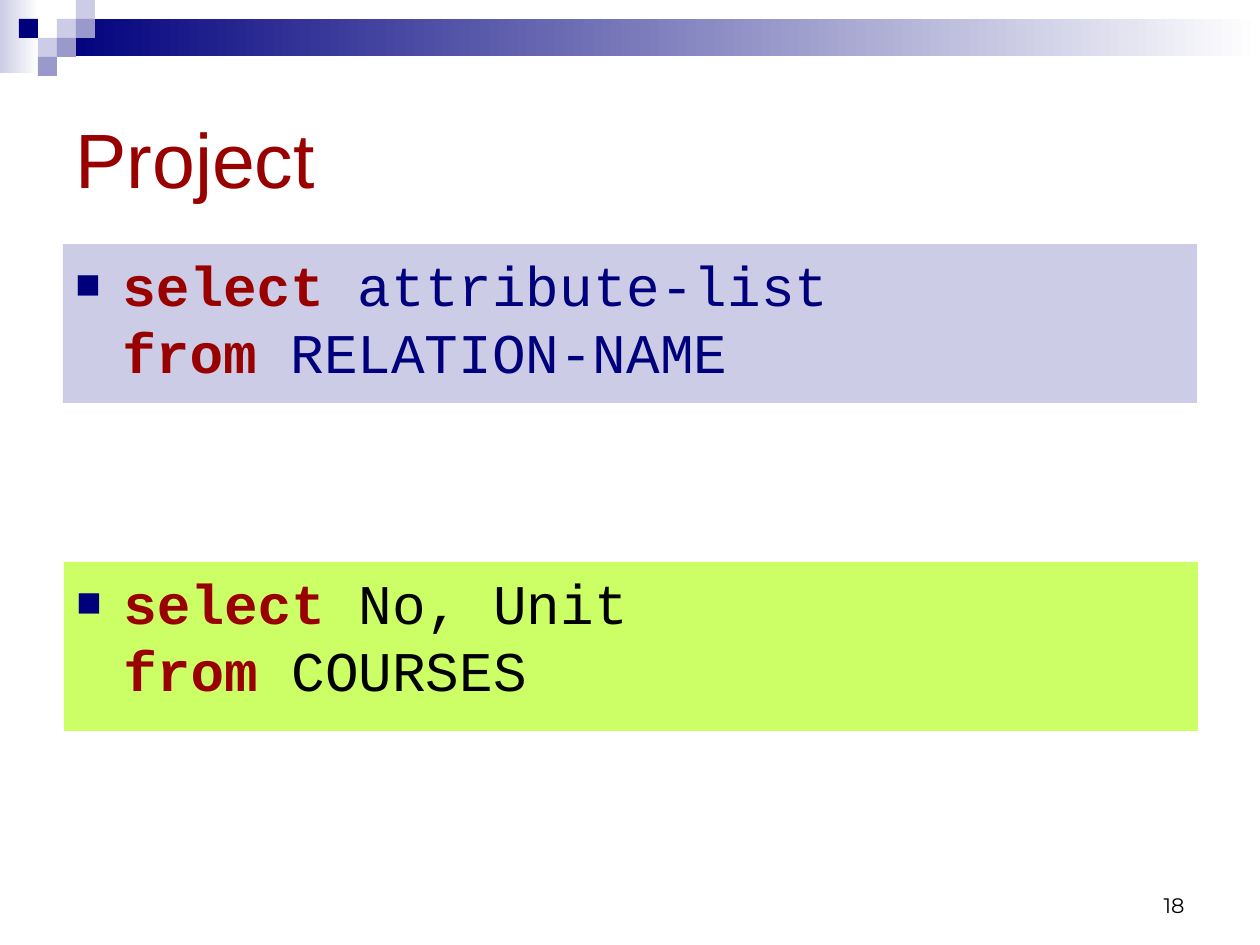
import pptx
import pptx.util
import pptx.dml.color
import pptx.enum.shapes
import pptx.enum.text
import lxml.etree
from dataclasses import dataclass


@dataclass(frozen=True)
class Theme:
    navy: str = "00007D"
    mid: str = "9999CC"
    pale: str = "CCCCE6"
    lime: str = "CCFF66"
    red: str = "990000"
    black: str = "000000"
    white: str = "FFFFFF"
    head: int = 44
    code: int = 32
    foot: int = 12


theme = Theme()
rgb = pptx.dml.color.RGBColor.from_string
anchor = pptx.enum.text.MSO_ANCHOR
align = pptx.enum.text.PP_ALIGN
scale = pptx.util.Inches(1) / 126


def rect(box, *fills):
    """Add a borderless rectangle: one colour is solid, two make a gradient."""
    shape = slide.shapes.add_shape(
        pptx.enum.shapes.MSO_SHAPE.RECTANGLE, *(round(n * scale) for n in box))
    shape.shadow.inherit = False
    shape.line.fill.background()
    if len(fills) == 1:
        shape.fill.solid()
        shape.fill.fore_color.rgb = rgb(fills[0])
    else:
        shape.fill.gradient()
        shape.fill.gradient_angle = 0
        for stop, color in zip(shape.fill.gradient_stops, fills):
            stop.color.rgb = rgb(color)
    return shape


def style(font, name, size, color, bold=False):
    font.name = name
    font.size = pptx.util.Pt(size)
    font.color.rgb = rgb(color)
    font.bold = bold


deck = pptx.Presentation()
deck.slide_width = round(1260 * scale)
deck.slide_height = round(945 * scale)
slide = deck.slides.add_slide(deck.slide_layouts[6])

# Header: two fading bands and a stepped pattern of squares
rect((0, 0, 39, 73), theme.pale, theme.white)
rect((57, 19, 1203, 37), theme.navy, theme.white)
step = 19
for col, row, color in (
    (3, 1, theme.pale), (4, 0, theme.pale), (4, 1, theme.mid),
    (2, 2, theme.pale), (1, 1, theme.navy), (3, 2, theme.mid),
    (2, 3, theme.mid),
):
    rect((col * step, row * step, step, step), color)

# Title and page number
for text, box, name, size, color, side, place in (
    ("Project", (63, 63, 1134, 189), "Arial", theme.head, theme.red,
     align.LEFT, anchor.MIDDLE),
    ("18", (903, 861, 294, 63), "Montserrat", theme.foot, theme.black,
     align.RIGHT, anchor.BOTTOM),
):
    frame = slide.shapes.add_textbox(*(round(n * scale) for n in box)).text_frame
    frame.word_wrap = True
    frame.vertical_anchor = place
    frame.text = text
    para = frame.paragraphs[0]
    para.alignment = side
    style(para.runs[0].font, name, size, color)

# Query panels: general form, then an example
for box, fill, ink, query in (
    ((63, 244, 1134, 159), theme.pale, theme.navy,
     (("select", "attribute-list"), ("from", "RELATION-NAME"))),
    ((64, 562, 1134, 169), theme.lime, theme.black,
     (("select", "No, Unit"), ("from", "COURSES"))),
):
    frame = rect(box, fill).text_frame
    frame.word_wrap = True
    frame.vertical_anchor = anchor.TOP
    para = frame.paragraphs[0]
    para.alignment = align.LEFT
    para.space_before = pptx.util.Pt(8)
    for row, (key, value) in enumerate(query):
        if row:
            para.add_line_break()
        for text, color, bold in ((key + " ", theme.red, True), (value, ink, False)):
            run = para.add_run()
            run.text = text
            style(run.font, "Courier New", theme.code, color, bold)

    props = para._p.get_or_add_pPr()
    indent = round(47 * scale)
    props.set("marL", str(indent))
    props.set("indent", str(-indent))
    space = pptx.oxml.ns.qn
    tint = lxml.etree.SubElement(props, space("a:buClr"))
    lxml.etree.SubElement(tint, space("a:srgbClr"), val=theme.navy)
    lxml.etree.SubElement(props, space("a:buSzPct"), val="75000")
    lxml.etree.SubElement(props, space("a:buFont"), typeface="Arial")
    lxml.etree.SubElement(props, space("a:buChar"), char="■")

deck.save("out.pptx")
